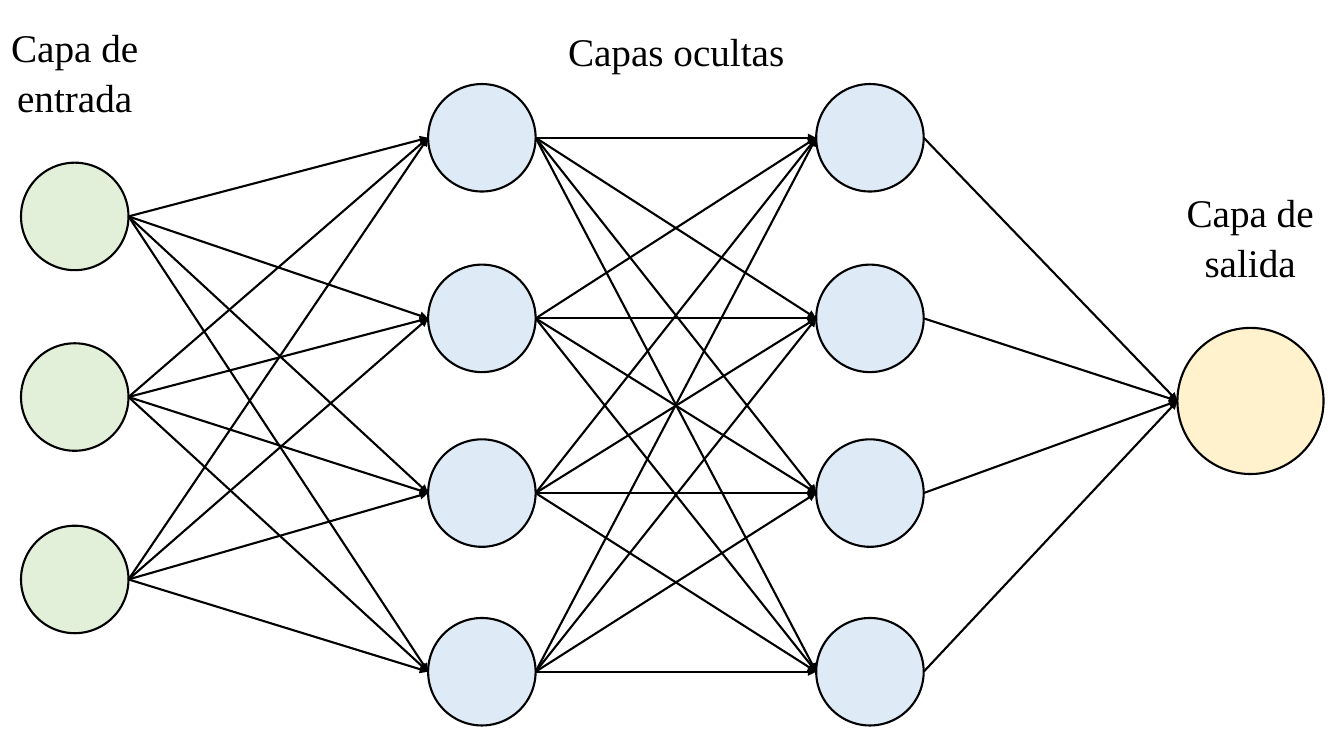
"""Draw a neural network with an input, two hidden and an output layer."""
from itertools import pairwise, product

from lxml import etree
from pptx import Presentation
from pptx.dml.color import RGBColor
from pptx.enum.shapes import MSO_CONNECTOR, MSO_SHAPE
from pptx.enum.text import MSO_ANCHOR, PP_ALIGN
from pptx.oxml.ns import qn
from pptx.util import Pt

OVAL = MSO_SHAPE.OVAL
LINE = MSO_CONNECTOR.STRAIGHT
MIDDLE = MSO_ANCHOR.MIDDLE
CENTER = PP_ALIGN.CENTER

BLACK = RGBColor(0x00, 0x00, 0x00)
GREEN = RGBColor(0xE2, 0xF0, 0xD9)
BLUE = RGBColor(0xDE, 0xEB, 0xF7)
CREAM = RGBColor(0xFF, 0xF2, 0xCC)

HIDDEN = (98.4, 227.4, 352.2, 479.8)
LAYERS = (
    (15, 76.8, GREEN, (154.6, 283.6, 413.9)),
    (305.8, 76.8, BLUE, HIDDEN),
    (583, 76.8, BLUE, HIDDEN),
    (841, 104.4, CREAM, (286.4,)),
)
LABELS = (
    ("Capa de entrada", -8.6, 15, 124, 70),
    ("Capas ocultas", 391, 15, 184, 40),
    ("Capa de salida", 831, 133, 124, 70),
)


class Sketch:
    font = "Times New Roman"
    size = Pt(28)
    weight = Pt(1.5)

    def __init__(self, slide):
        self.shapes = slide.shapes

    def node(self, left, mid, side, color):
        oval = self.shapes.add_shape(
            OVAL, Pt(left), Pt(mid - side / 2), Pt(side), Pt(side))
        oval.shadow.inherit = False
        oval.fill.solid()
        oval.fill.fore_color.rgb = color
        oval.line.color.rgb = BLACK
        oval.line.width = self.weight

    def arrow(self, x1, y1, x2, y2):
        link = self.shapes.add_connector(LINE, Pt(x1), Pt(y1), Pt(x2), Pt(y2))
        link.line.color.rgb = BLACK
        link.line.width = self.weight
        props = link._element.spPr
        etree.SubElement(props.find(qn("a:ln")), qn("a:tailEnd"), type="triangle")
        etree.SubElement(props, qn("a:effectLst"))

    def label(self, text, left, top, width, height):
        box = self.shapes.add_textbox(Pt(left), Pt(top), Pt(width), Pt(height))
        frame = box.text_frame
        frame.word_wrap = True
        frame.vertical_anchor = MIDDLE
        para = frame.paragraphs[0]
        para.text = text
        para.alignment = CENTER
        para.line_spacing = 1.07
        para.space_after = Pt(8)
        para.font.name = self.font
        para.font.size = self.size
        para.font.color.rgb = BLACK


def main():
    deck = Presentation()
    deck.slide_width, deck.slide_height = Pt(960), Pt(540)
    sketch = Sketch(deck.slides.add_slide(deck.slide_layouts[6]))
    for left, side, color, mids in LAYERS:
        for mid in mids:
            sketch.node(left, mid, side, color)
    for (left, side, _, starts), (end, _, _, stops) in pairwise(LAYERS):
        for start, stop in product(starts, stops):
            sketch.arrow(left + side, start, end, stop)
    for label in LABELS:
        sketch.label(*label)
    deck.save("out.pptx")


if __name__ == "__main__":
    main()
